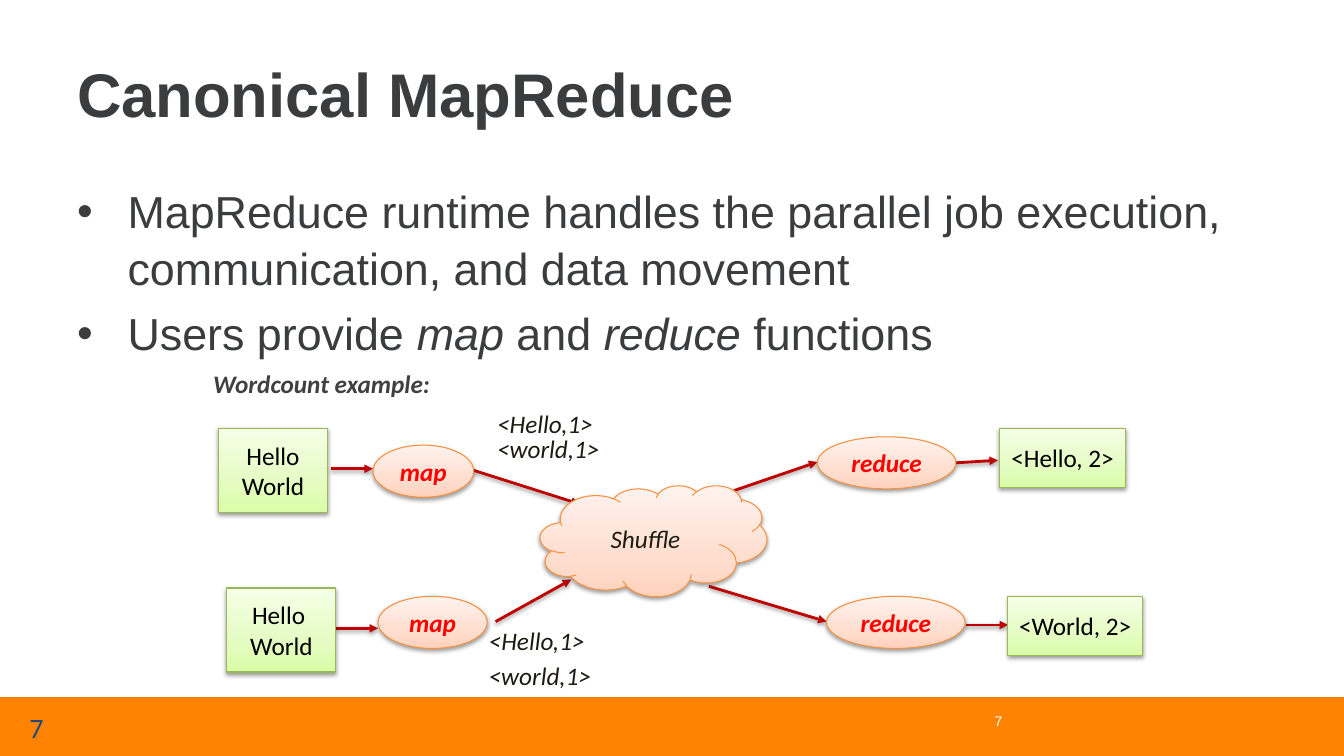
from copy import deepcopy
from dataclasses import dataclass

from lxml.etree import SubElement
from pptx import Presentation
from pptx.dml.color import RGBColor as RGB
from pptx.enum.shapes import MSO_CONNECTOR as CONN, MSO_SHAPE as SHAPE
from pptx.enum.text import MSO_ANCHOR as ANCHOR, MSO_AUTO_SIZE as FIT, PP_ALIGN as ALIGN
from pptx.oxml.ns import qn
from pptx.util import Inches, Pt

COLS, ROWS = 160, 90


@dataclass(frozen=True)
class Theme:
    heading: str = "Arial"
    label: str = "Calibri"
    ink: str = "3B3C3E"
    caption: str = "404040"
    dark: str = "1E1C11"
    black: str = "000000"
    white: str = "FFFFFF"
    navy: str = "1F497D"
    red: str = "FF0000"
    arrow: str = "C00000"
    bar: str = "FF8200"
    peach: tuple = ("F69240", "FFD2BD", "FFDED0", "FFF2ED")
    green: tuple = ("98B955", "DAFDA7", "E4FCC2", "F5FFE7")
    stops: tuple = (0, 0.35, 1)
    title_size: int = 44
    body_size: int = 32
    number_size: int = 20
    label_size: int = 18
    small_size: int = 10


class Deck:
    def __init__(self, theme):
        self.t = theme
        self.prs = Presentation()
        self.prs.slide_width, self.prs.slide_height = Inches(13.33), Inches(7.5)
        self.s = self.prs.slides.add_slide(self.prs.slide_layouts[6])

    def x(self, cols):
        return round(self.prs.slide_width * cols / COLS)

    def y(self, rows):
        return round(self.prs.slide_height * rows / ROWS)

    def box(self, at):
        left, top, width, height = at
        return self.x(left), self.y(top), self.x(width), self.y(height)

    def style(self, font, **fmt):
        base = {"name": self.t.label, "size": self.t.label_size, "color": self.t.black}
        for key, value in (base | fmt).items():
            if key == "color":
                font.color.rgb = RGB.from_string(value)
            else:
                setattr(font, key, Pt(value) if key == "size" else value)

    def add_lines(self, tf, lines, align=ALIGN.LEFT, **fmt):
        for i, line in enumerate(lines):
            p = tf.paragraphs[0] if i == 0 else tf.add_paragraph()
            p.alignment = align
            r = p.add_run()
            r.text = line
            self.style(r.font, **fmt)

    def text(self, at, line, wrap=True, anchor=ANCHOR.MIDDLE, align=ALIGN.LEFT, **fmt):
        tf = self.s.shapes.add_textbox(*self.box(at)).text_frame
        frame = {"word_wrap": wrap, "vertical_anchor": anchor,
                 "auto_size": FIT.NONE if wrap else FIT.SHAPE_TO_FIT_TEXT}
        for key, value in frame.items():
            setattr(tf, key, value)
        self.add_lines(tf, [line], align, **fmt)

    def label(self, at, line, **fmt):
        look = {"color": self.t.dark, "italic": True} | fmt
        self.text(at, line, wrap=False, anchor=ANCHOR.TOP, **look)

    def bullets(self, at, items):
        tf = self.s.shapes.add_textbox(*self.box(at)).text_frame
        tf.word_wrap = True
        for i, parts in enumerate(items):
            p = tf.paragraphs[0] if i == 0 else tf.add_paragraph()
            pPr = p._p.get_or_add_pPr()
            pPr.set("marL", str(Inches(0.5)))
            pPr.set("indent", str(Inches(-0.5)))
            SubElement(pPr, qn("a:buFont"), typeface=self.t.heading)
            SubElement(pPr, qn("a:buChar"), char="•")
            p.line_spacing = 1.05
            if i:
                p.space_before = Pt(self.t.body_size * 0.2)
            for j, part in enumerate(parts):
                r = p.add_run()
                r.text = part
                self.style(r.font, name=self.t.heading, size=self.t.body_size,
                           color=self.t.ink, italic=j % 2 == 1)

    def shadow(self, spPr):
        effects = SubElement(spPr, qn("a:effectLst"))
        outer = SubElement(effects, qn("a:outerShdw"), blurRad="40000", dist="20000",
                           dir="5400000", rotWithShape="0")
        color = SubElement(outer, qn("a:srgbClr"), val=self.t.black)
        SubElement(color, qn("a:alpha"), val="38000")

    def bar(self, at):
        sp = self.s.shapes.add_shape(SHAPE.RECTANGLE, *self.box(at))
        sp.shadow.inherit = False
        sp.fill.solid()
        sp.fill.fore_color.rgb = RGB.from_string(self.t.bar)
        sp.line.fill.background()

    def node(self, kind, at, lines, palette, **fmt):
        sp = self.s.shapes.add_shape(kind, *self.box(at))
        edge, *shades = palette
        sp.fill.gradient()
        sp.fill.gradient_angle = 90
        gs = sp._element.spPr.find(".//" + qn("a:gs"))
        gs.addnext(deepcopy(gs))
        for stop, place, shade in zip(sp.fill.gradient_stops, self.t.stops, shades):
            stop.position = place
            stop.color.rgb = RGB.from_string(shade)
        sp.line.color.rgb = RGB.from_string(edge)
        sp.line.width = Pt(0.75)
        self.shadow(sp._element.spPr)
        tf = sp.text_frame
        frame = {"word_wrap": True, "vertical_anchor": ANCHOR.MIDDLE,
                 "margin_left": 0, "margin_right": 0}
        for key, value in frame.items():
            setattr(tf, key, value)
        self.add_lines(tf, lines, ALIGN.CENTER, **fmt)

    def arrow(self, x1, y1, x2, y2):
        c = self.s.shapes.add_connector(CONN.STRAIGHT, self.x(x1), self.y(y1),
                                        self.x(x2), self.y(y2))
        c.line.color.rgb = RGB.from_string(self.t.arrow)
        c.line.width = Pt(2)
        spPr = c._element.spPr
        SubElement(spPr.find(qn("a:ln")), qn("a:tailEnd"), type="triangle")
        self.shadow(spPr)


def main():
    t = Theme()
    d = Deck(t)
    d.bar((0, 83, COLS, 7))
    d.text((8, 3.6, 144, 15), "Canonical MapReduce", name=t.heading,
           size=t.title_size, color=t.ink, bold=True)
    d.bullets((8, 21, 144, 59.4), [
        ["MapReduce runtime handles the parallel job execution, communication, and data movement"],
        ["Users provide ", "map", " and ", "reduce", " functions"],
    ])
    d.text((83.2, 83.4, 37.3, 4.8), "7", align=ALIGN.RIGHT, name=t.heading,
           size=t.small_size, color=t.white)
    d.text((2.3, 84.2, 25.4, 4.8), "7", size=t.number_size, color=t.navy)

    for ends in [(39.4, 55.8, 44.4, 55.8), (56.4, 56, 69, 60),
                 (40, 74.8, 45, 74.8), (59, 74, 68, 69),
                 (113.8, 55.1, 118.8, 54.8), (115, 74.4, 120, 74.4),
                 (87.4, 58.4, 97.3, 55), (84.4, 69.8, 98.4, 74)]:
        d.arrow(*ends)

    for at, word in [((44.4, 53, 12, 6.2), "map"), ((45, 71, 13, 6.2), "map"),
                     ((97.3, 52, 16.5, 6.2), "reduce"), ((98.4, 71, 16.5, 6.2), "reduce")]:
        d.node(SHAPE.OVAL, at, [word], t.peach, color=t.red, bold=True, italic=True)
    d.node(SHAPE.CLOUD, (64.3, 57.8, 27, 13.2), ["Shuffle"], t.peach,
           color=t.dark, italic=True)
    for at, lines in [((26, 51, 13, 10), ["Hello", "World"]),
                      ((27, 70, 13, 10), ["Hello ", "World"]),
                      ((119, 51, 15, 7), ["<Hello, 2>"]),
                      ((120, 71, 16, 7), ["<World, 2>"])]:
        d.node(SHAPE.RECTANGLE, at, lines, t.green)

    for left, top, pitch in [(58, 48, 3), (57, 73.9, 4.1)]:
        for i, pair in enumerate(["<Hello,1>", "<world,1>"]):
            d.label((left, top + i * pitch, 14 + 0.8 * i, 4.8), pair)
    d.label((24.2, 43.3, 29.5, 4.8), "Wordcount example:", color=t.caption, bold=True)
    d.prs.save("out.pptx")


if __name__ == "__main__":
    main()
